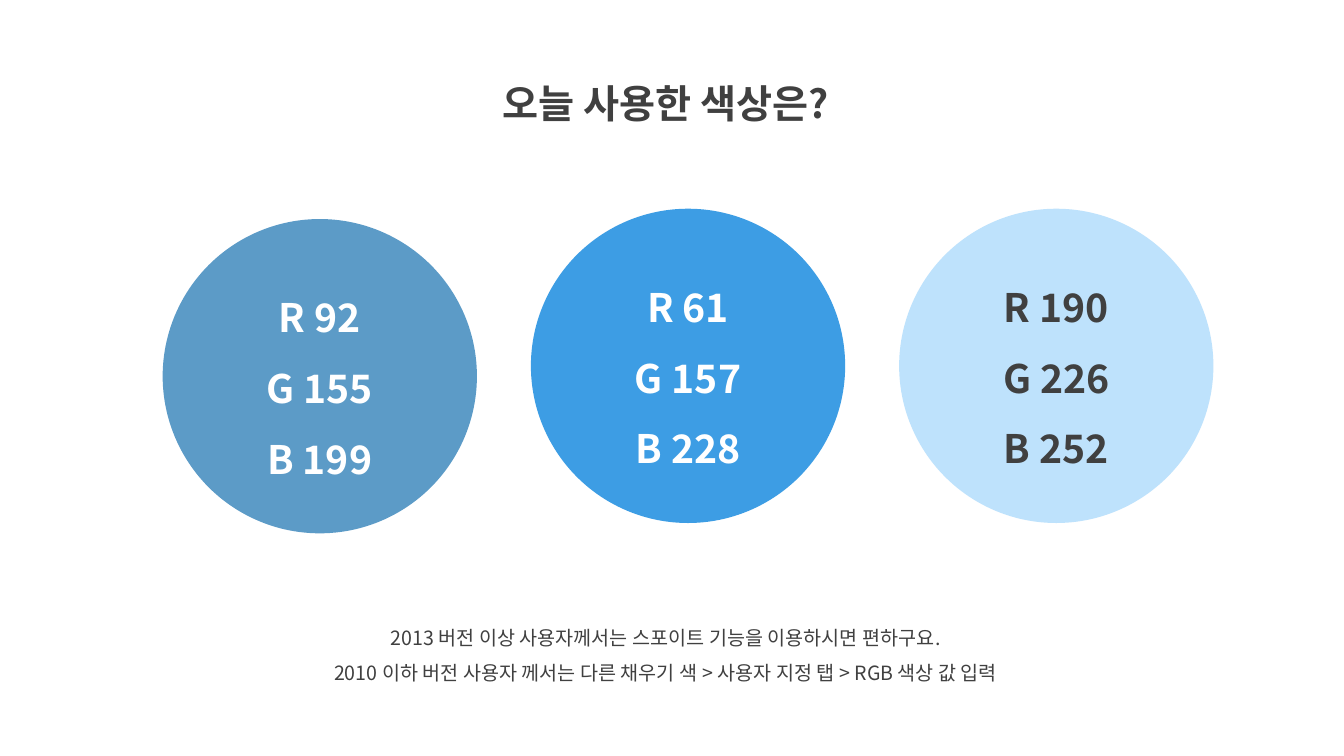
from lxml import etree
from pptx import Presentation
from pptx.dml.color import RGBColor
from pptx.enum.shapes import MSO_SHAPE
from pptx.enum.text import MSO_ANCHOR, MSO_AUTO_SIZE, PP_ALIGN
from pptx.oxml.ns import qn
from pptx.util import Cm, Pt

OVAL = MSO_SHAPE.OVAL
TOP, MIDDLE = MSO_ANCHOR.TOP, MSO_ANCHOR.MIDDLE
CENTER = PP_ALIGN.CENTER
NO_FIT = MSO_AUTO_SIZE.NONE
FONT = "Noto Sans CJK KR"
COLORS = {
    "ink": "404040",
    "paper": "FFFFFF",
    "steel": "5C9BC7",
    "azure": "3D9DE4",
    "sky": "BEE2FC",
}


def write_text(shape, lines, size=28, color="ink", bold=False, anchor=TOP):
    """Fill a shape with centred, unbulleted lines."""
    frame = shape.text_frame
    frame.word_wrap = True
    frame.auto_size = NO_FIT
    frame.vertical_anchor = anchor
    for index, line in enumerate(lines):
        paragraph = frame.add_paragraph() if index else frame.paragraphs[0]
        paragraph.alignment = CENTER
        paragraph.line_spacing = 1.5
        paragraph.space_before = paragraph.space_after = Pt(0)
        properties = paragraph._p.get_or_add_pPr()
        properties.set("marL", "0")
        properties.set("indent", "0")
        etree.SubElement(properties, qn("a:buNone"))
        run = paragraph.add_run()
        run.text = line
        run.font.size = Pt(size)
        run.font.bold = bold
        run.font.color.rgb = RGBColor.from_string(COLORS[color])
        run.font.name = FONT
        etree.SubElement(run._r.rPr, qn("a:ea")).set("typeface", FONT)


def place(shape, box):
    """Move a placeholder to a box of left, top, width and height in cm."""
    shape.left, shape.top, shape.width, shape.height = map(Cm, box)


def add_heading(slide, box):
    """Write the question at the top of the slide."""
    heading = slide.shapes.title
    place(heading, box)
    write_text(heading, ["오늘 사용한 색상은?"], bold=True)


def add_instructions(slide, box):
    """Write how to apply the colours in each version."""
    instructions = slide.placeholders[1]
    place(instructions, box)
    write_text(instructions, [
        "2013 버전 이상 사용자께서는 스포이트 기능을 이용하시면 편하구요.",
        "2010 이하 버전 사용자 께서는 다른 채우기 색 > 사용자 지정 탭 > RGB 색상 값 입력",
    ], size=14)


def add_palette(slide, box):
    """Spread the colour circles evenly over a box, each with its RGB values."""
    left, top, width, diameter = box
    swatches = [("steel", "paper", 0.26), ("azure", "paper", 0), ("sky", "ink", 0)]
    pitch = (width - diameter) / (len(swatches) - 1)
    for index, (color, text_color, drop) in enumerate(swatches):
        swatch = slide.shapes.add_shape(
            OVAL, Cm(left + index * pitch), Cm(top + drop), Cm(diameter), Cm(diameter))
        swatch.shadow.inherit = False
        swatch.fill.solid()
        fill = RGBColor.from_string(COLORS[color])
        swatch.fill.fore_color.rgb = fill
        swatch.line.fill.background()
        values = [f"{channel} {value}" for channel, value in zip("RGB", fill)]
        write_text(swatch, values, color=text_color, bold=True, anchor=MIDDLE)


def main():
    """Build and save the colour slide."""
    presentation = Presentation()
    presentation.slide_width, presentation.slide_height = Cm(33.87), Cm(19.05)
    slide = presentation.slides.add_slide(presentation.slide_layouts[1])
    add_heading(slide, (10.9, 1.27, 11.76, 1.83))
    add_instructions(slide, (6.63, 15.34, 20.29, 2.06))
    add_palette(slide, (4.1, 5.26, 26.48, 7.92))
    presentation.save("out.pptx")


if __name__ == "__main__":
    main()
